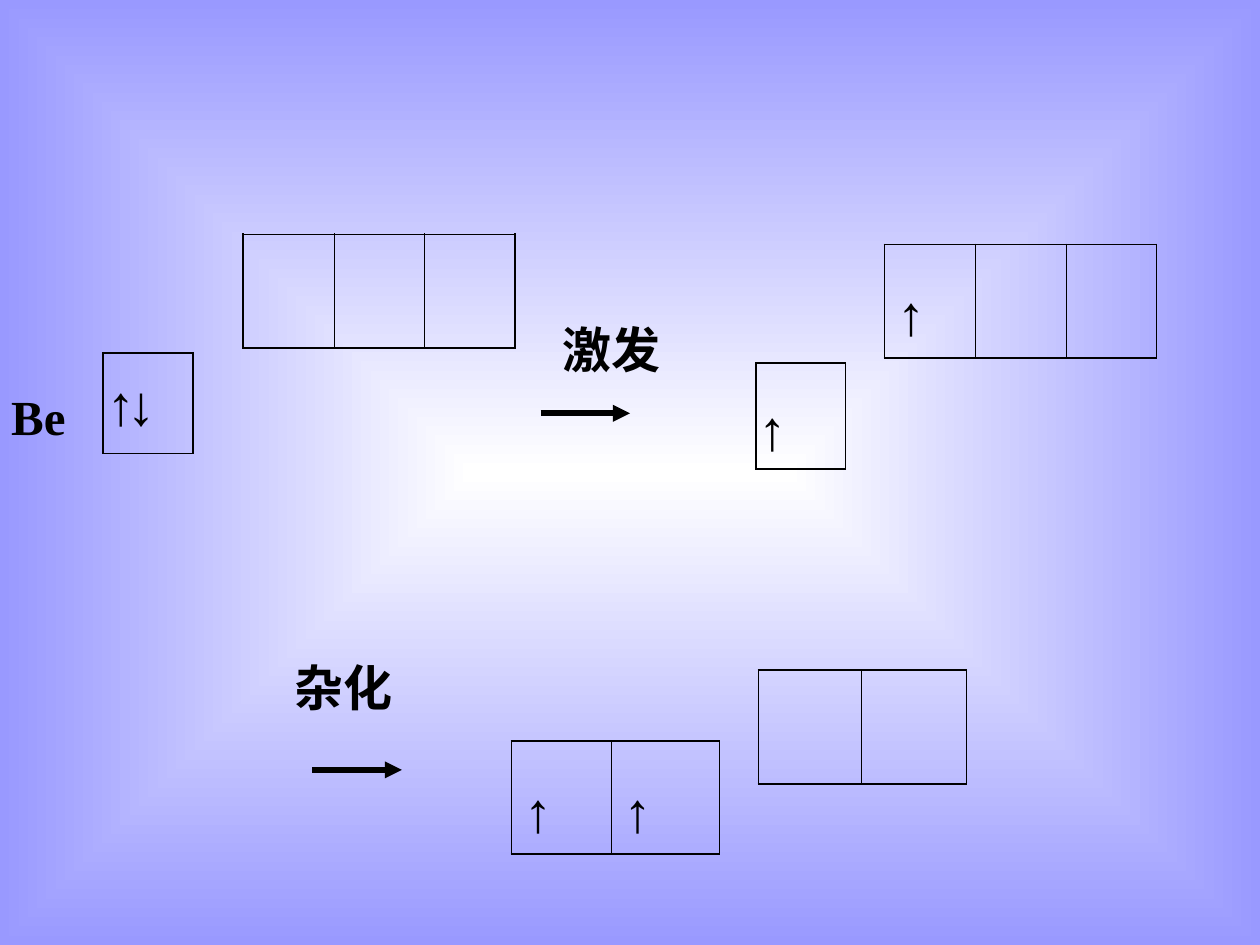
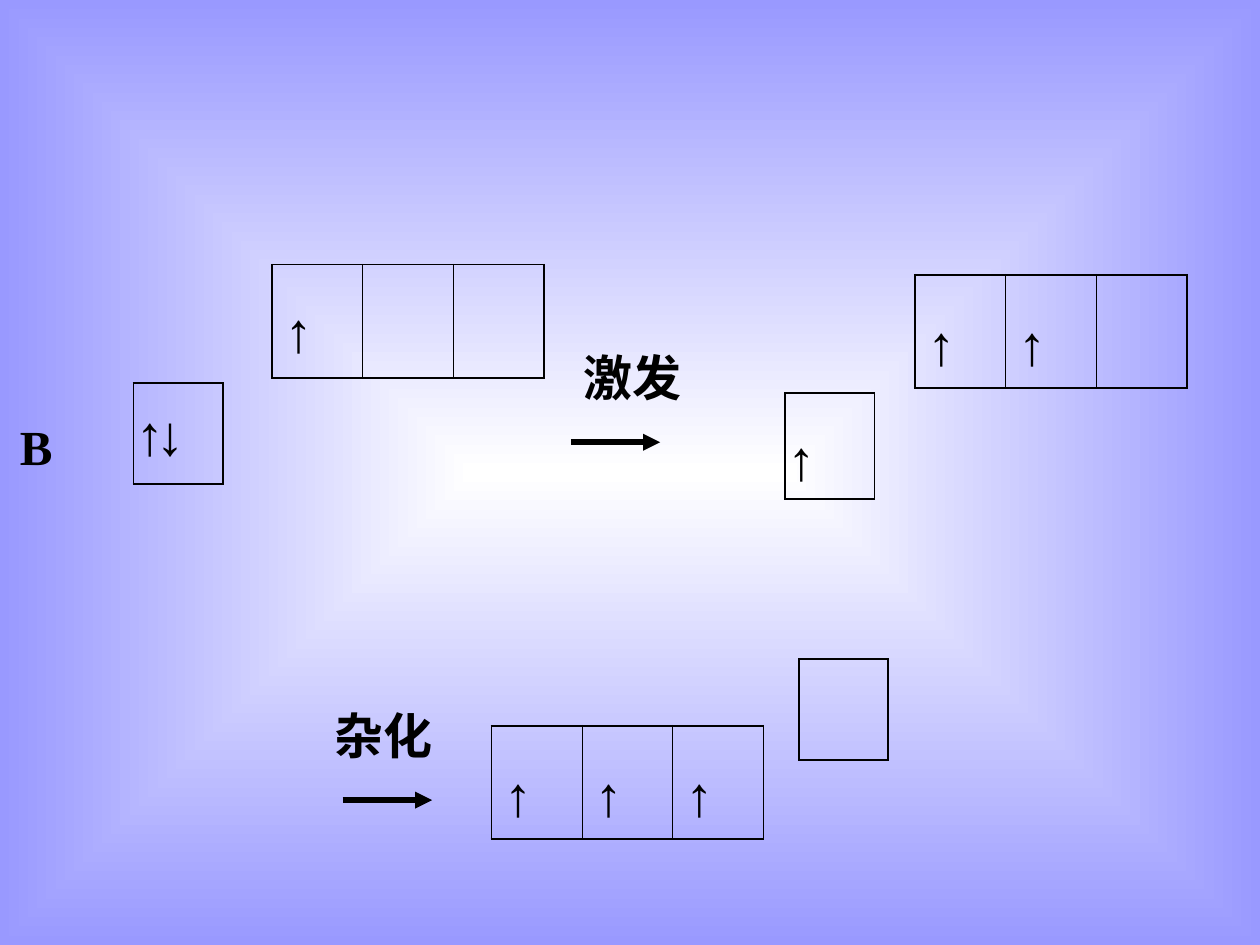
from dataclasses import dataclass

from lxml import etree
from pptx import Presentation
from pptx.dml.color import RGBColor
from pptx.enum.shapes import MSO_CONNECTOR
from pptx.enum.text import MSO_ANCHOR, MSO_AUTO_SIZE
from pptx.oxml.ns import qn
from pptx.presentation import Presentation as Deck
from pptx.slide import Slide
from pptx.util import Inches, Pt

STRAIGHT = MSO_CONNECTOR.STRAIGHT
TOP, MIDDLE = MSO_ANCHOR.TOP, MSO_ANCHOR.MIDDLE
GROW = MSO_AUTO_SIZE.SHAPE_TO_FIT_TEXT
BLACK = RGBColor(0, 0, 0)
WHITE = RGBColor(255, 255, 255)
LAVENDER = RGBColor(0x99, 0x99, 0xFF)
FONT = "Times New Roman"
OUTER, INNER = 1.08, 0.45
UP, DOWN = "↑", "↓"
LABEL_SIZE, SPIN_SIZE = 28, 32
LABEL_HEIGHT, SPIN_HEIGHT = 0.57, 0.64
ARROW_LENGTH = 0.71
S_COLUMNS = (0.71,)
P_COLUMNS = (0.72,) * 3
S_HEIGHT, P_HEIGHT = 0.8, 0.9


@dataclass(frozen=True)
class Orbitals:
    left: float
    top: float
    columns: tuple[float, ...]
    height: float
    electrons: int = 0
    inset: float = 0.1
    anchor: MSO_ANCHOR = MIDDLE


@dataclass(frozen=True)
class Label:
    text: str
    left: float
    top: float
    width: float
    height: float = LABEL_HEIGHT
    size: int = LABEL_SIZE


@dataclass(frozen=True)
class Arrow:
    left: float
    top: float


@dataclass(frozen=True)
class Diagram:
    orbitals: tuple[Orbitals, ...]
    spin_pair: tuple[Label, ...]
    arrows: tuple[Arrow, ...]
    labels: tuple[Label, ...]


def spin_pair(left: float, top: float) -> tuple[Label, ...]:
    return (
        Label(UP, left, top, 0.71, SPIN_HEIGHT, SPIN_SIZE),
        Label(DOWN, left + 0.16, top, 0.79, SPIN_HEIGHT, SPIN_SIZE),
    )


DIAGRAMS = (
    Diagram(
        orbitals=(
            Orbitals(0.82, 2.8, S_COLUMNS, S_HEIGHT),
            Orbitals(1.93, 1.86, P_COLUMNS, P_HEIGHT),
            Orbitals(6, 2.88, S_COLUMNS, S_HEIGHT, 1, 0.02),
            Orbitals(7.02, 1.94, P_COLUMNS, P_HEIGHT, 1),
            Orbitals(4.06, 5.88, (0.79, 0.86), P_HEIGHT, 2),
            Orbitals(6.02, 5.32, (0.82, 0.83), P_HEIGHT),
        ),
        spin_pair=spin_pair(0.75, 2.88),
        arrows=(Arrow(4.29, 3.28), Arrow(2.48, 6.11)),
        labels=(
            Label("激发", 4.37, 2.49, 1.1),
            Label("杂化", 2.24, 5.17, 1.18),
            Label("Be", -0.01, 3.02, 0.68),
        ),
    ),
    Diagram(
        orbitals=(
            Orbitals(1.06, 3.04, S_COLUMNS, S_HEIGHT),
            Orbitals(2.16, 2.1, P_COLUMNS, P_HEIGHT, 1, anchor=TOP),
            Orbitals(6.23, 3.12, S_COLUMNS, S_HEIGHT, 1, 0.02),
            Orbitals(7.26, 2.18, P_COLUMNS, P_HEIGHT, 2),
            Orbitals(6.34, 5.23, S_COLUMNS, S_HEIGHT),
            Orbitals(3.9, 5.76, P_COLUMNS, P_HEIGHT, 3),
        ),
        spin_pair=spin_pair(0.98, 3.12),
        arrows=(Arrow(4.53, 3.51), Arrow(2.72, 6.35)),
        labels=(
            Label("激发", 4.53, 2.71, 1.1),
            Label("杂化", 2.56, 5.55, 1.18),
            Label("B", 0.06, 3.26, 0.68),
        ),
    ),
)


def write_text(para, text: str, size: int) -> None:
    span = para.add_run()
    span.text = text
    for name, value in {"name": FONT, "size": Pt(size), "bold": True}.items():
        setattr(span.font, name, value)
    span.font.color.rgb = BLACK


def set_borders(cell, column: int, last: int) -> None:
    widths = {
        "L": INNER if column else OUTER,
        "R": INNER if column < last else OUTER,
        "T": OUTER,
        "B": OUTER,
    }
    properties = cell._tc.get_or_add_tcPr()
    for side, width in widths.items():
        line = etree.SubElement(properties, qn(f"a:ln{side}"), w=str(Pt(width)))
        fill = etree.SubElement(line, qn("a:solidFill"))
        etree.SubElement(fill, qn("a:srgbClr"), val=str(BLACK))


def add_orbitals(page: Slide, item: Orbitals) -> None:
    frame = page.shapes.add_table(
        1, len(item.columns), Inches(item.left), Inches(item.top),
        Inches(sum(item.columns)), Inches(item.height),
    )
    table = frame.table
    table.first_row = table.horz_banding = False
    for column, width in enumerate(item.columns):
        table.columns[column].width = Inches(width)
        cell = table.cell(0, column)
        set_borders(cell, column, len(item.columns) - 1)
        cell.fill.background()
        if column < item.electrons:
            inset = Inches(item.inset)
            layout = {
                "margin_left": inset,
                "margin_right": inset,
                "vertical_anchor": item.anchor,
            }
            for name, value in layout.items():
                setattr(cell, name, value)
            para = cell.text_frame.paragraphs[0]
            para.line_spacing = 1.5
            write_text(para, UP, SPIN_SIZE)


def add_label(shapes, label: Label) -> None:
    box = shapes.add_textbox(
        Inches(label.left), Inches(label.top), Inches(label.width), Inches(label.height)
    )
    box.text_frame.word_wrap = True
    box.text_frame.auto_size = GROW
    write_text(box.text_frame.paragraphs[0], label.text, label.size)


def add_arrow(page: Slide, arrow: Arrow) -> None:
    top = Inches(arrow.top)
    connector = page.shapes.add_connector(
        STRAIGHT, Inches(arrow.left), top, Inches(arrow.left + ARROW_LENGTH), top
    )
    connector.line.color.rgb = BLACK
    connector.line.width = Pt(3.25)
    etree.SubElement(connector.line._get_or_add_ln(), qn("a:tailEnd"), type="triangle")
    etree.SubElement(connector._element.spPr, qn("a:effectLst"))


def set_background(deck: Deck) -> None:
    master = deck.slide_master
    fill = master.background.fill
    fill.gradient()
    for stop, color in zip(fill.gradient_stops, (WHITE, LAVENDER)):
        stop.color.rgb = color
    gradient = master.element.xpath(".//p:bg//a:gradFill")[0]
    gradient.remove(gradient.find(qn("a:lin")))
    shade = etree.SubElement(gradient, qn("a:path"), attrib={"path": "rect"})
    center = dict.fromkeys("ltrb", "50000")
    etree.SubElement(shade, qn("a:fillToRect"), attrib=center)


def add_diagram(deck: Deck, diagram: Diagram) -> None:
    page = deck.slides.add_slide(deck.slide_layouts[6])
    for item in diagram.orbitals:
        add_orbitals(page, item)
    group = page.shapes.add_group_shape()
    for spin in diagram.spin_pair:
        add_label(group.shapes, spin)
    for arrow in diagram.arrows:
        add_arrow(page, arrow)
    for label in diagram.labels:
        add_label(page.shapes, label)


def main() -> None:
    deck = Presentation()
    deck.slide_width, deck.slide_height = Inches(10), Inches(7.5)
    set_background(deck)
    for diagram in DIAGRAMS:
        add_diagram(deck, diagram)
    deck.save("out.pptx")


if __name__ == "__main__":
    main()
